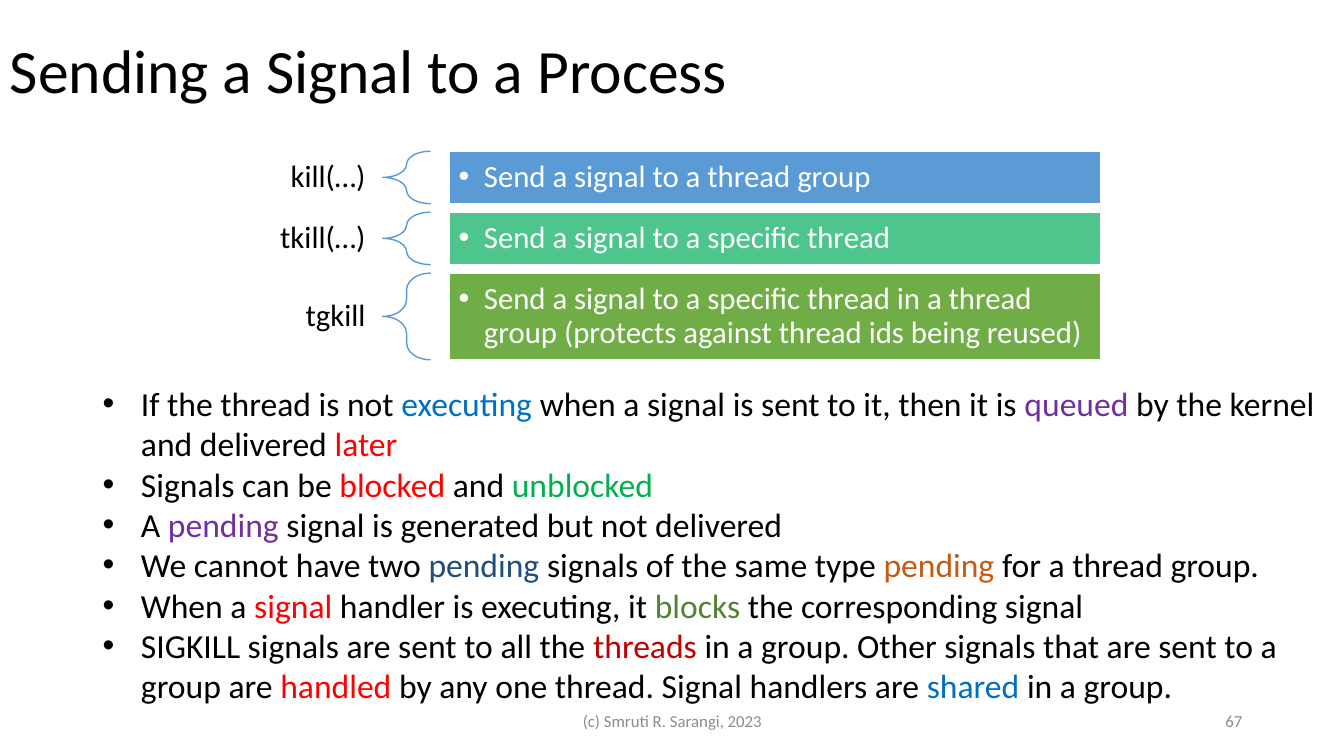
from lxml import etree
from pptx import Presentation, util as u
from pptx.dml.color import RGBColor
from pptx.enum import shapes, text
from pptx.oxml.ns import qn

WIDTH, HEIGHT = 13.33, 7.5
FONT = "Calibri"
COLOURS = {
    "black": "000000", "white": "FFFFFF", "grey": "8C8C8C",
    "sky": "5B9BD5", "mint": "4DC58D", "leaf": "70AD47",
    "blue": "0070C0", "purple": "7030A0", "red": "FF0000", "green": "00B050",
    "navy": "1F4E79", "orange": "C55A11", "moss": "548235", "crimson": "C00000",
}

# Each call: name, description, fill, row height
CALLS = [
    ("kill(…)", "Send a signal to a thread group", "sky", 0.52),
    ("tkill(…)", "Send a signal to a specific thread", "mint", 0.52),
    ("tgkill", "Send a signal to a specific thread in a thread group "
               "(protects against thread ids being reused)", "leaf", 0.86),
]

# Each point: runs of wording and colour
POINTS = [
    [("If the thread is not ", "black"), ("executing", "blue"),
     (" when a signal is sent to it, then it is ", "black"), ("queued", "purple"),
     (" by the kernel and delivered ", "black"), ("later", "red")],
    [("Signals can be ", "black"), ("blocked", "red"),
     (" and ", "black"), ("unblocked", "green")],
    [("A ", "black"), ("pending", "purple"),
     (" signal is generated but not delivered", "black")],
    [("We cannot have two ", "black"), ("pending", "navy"),
     (" signals of the same type ", "black"), ("pending", "orange"),
     (" for a thread group.", "black")],
    [("When a ", "black"), ("signal", "red"),
     (" handler is executing, it ", "black"), ("blocks", "moss"),
     (" the corresponding signal", "black")],
    [("SIGKILL signals are sent to all the ", "black"), ("threads", "crimson"),
     (" in a group. Other signals that are sent to a group are ", "black"),
     ("handled", "red"), (" by any one thread. Signal handlers are ", "black"),
     ("shared", "blue"), (" in a group.", "black")],
]


def colour(name):
    return RGBColor.from_string(COLOURS[name])


def inches(box):
    return [u.Inches(length) for length in box]


def write(shape, paragraphs, size, align=text.PP_ALIGN.LEFT, spacing=None,
          indent=0, anchor=text.MSO_ANCHOR.MIDDLE, insets=(0.1, 0.05)):
    """Fill a shape with paragraphs of (wording, colour) runs; an indent adds bullets."""
    frame = shape.text_frame
    frame.word_wrap = True
    frame.vertical_anchor = anchor
    frame.margin_left = frame.margin_right = u.Inches(insets[0])
    frame.margin_top = frame.margin_bottom = u.Inches(insets[1])
    for index, runs in enumerate(paragraphs):
        paragraph = frame.add_paragraph() if index else frame.paragraphs[0]
        paragraph.alignment = align
        if spacing:
            paragraph.line_spacing = spacing
        if indent:
            properties = paragraph._p.get_or_add_pPr()
            properties.set("marL", str(u.Inches(indent)))
            properties.set("indent", str(-u.Inches(indent)))
            etree.SubElement(properties, qn("a:buFont")).set("typeface", "Arial")
            etree.SubElement(properties, qn("a:buChar")).set("char", "•")
        for wording, name in runs:
            run = paragraph.add_run()
            run.text = wording
            run.font.name = FONT
            run.font.size = u.Pt(size)
            run.font.color.rgb = colour(name)


def add_text(slide, box, paragraphs, size, **options):
    write(slide.shapes.add_textbox(*inches(box)), paragraphs, size, **options)


def add_outlined(slide, kind, box, line):
    shape = slide.shapes.add_shape(kind, *inches(box))
    shape.shadow.inherit = False
    shape.fill.background()
    shape.line.color.rgb = colour(line)
    shape.line.width = u.Pt(1)
    return shape


def add_calls(slide, box):
    """Rows of name, brace and coloured bar, stacked with equal gaps."""
    left, top, width, height = box
    name_width, brace_width, bar_gap = width * 0.25, width * 0.05, width * 0.02
    name_height = 0.48
    bar_left = left + name_width + brace_width + bar_gap
    row_gap = (height - sum(call[3] for call in CALLS)) / (len(CALLS) - 1)
    for name, description, fill, row_height in CALLS:
        # Name, centred on its row
        name_top = top + (row_height - name_height) / 2
        add_text(slide, (left, name_top, name_width, name_height), [[(name, "black")]],
                 22, align=text.PP_ALIGN.RIGHT, spacing=0.9, insets=(0.17, 0.06))
        # Brace
        brace = add_outlined(slide, shapes.MSO_SHAPE.LEFT_BRACE,
                             (left + name_width, top, brace_width, row_height), "sky")
        brace.adjustments[0] = 0.35
        # Bar
        bar = add_outlined(slide, shapes.MSO_SHAPE.RECTANGLE,
                           (bar_left, top, left + width - bar_left, row_height), "white")
        bar.fill.solid()
        bar.fill.fore_color.rgb = colour(fill)
        write(bar, [[(description, "white")]], 22, spacing=0.9, indent=0.25,
              insets=(0.09, 0.09))
        top += row_height + row_gap


def add_footer(slide, box):
    """Copyright line in the left part, page number at the right end."""
    left, top, width, height = box
    add_text(slide, (left, top, 4.5, height), [[("(c) Smruti R. Sarangi, 2023", "grey")]],
             12, align=text.PP_ALIGN.CENTER)
    add_text(slide, (left + width - 3, top, 3, height), [[("67", "grey")]],
             12, align=text.PP_ALIGN.RIGHT)


def main():
    presentation = Presentation()
    presentation.slide_width = u.Inches(WIDTH)
    presentation.slide_height = u.Inches(HEIGHT)
    slide = presentation.slides.add_slide(presentation.slide_layouts[6])

    # Title
    add_text(slide, (0, 0, 11.5, 1.45), [[("Sending a Signal to a Process", "black")]],
             44, spacing=0.9)
    # Signal calls
    add_calls(slide, (1.42, 1.5, 9.5, 2.07))
    # Footer
    add_footer(slide, (4.42, 6.95, 8, 0.4))
    # Points
    add_text(slide, (0.92, HEIGHT / 2, 12.27, 3.33), POINTS, 24, indent=0.38,
             anchor=text.MSO_ANCHOR.TOP)

    presentation.save("out.pptx")


if __name__ == "__main__":
    main()
